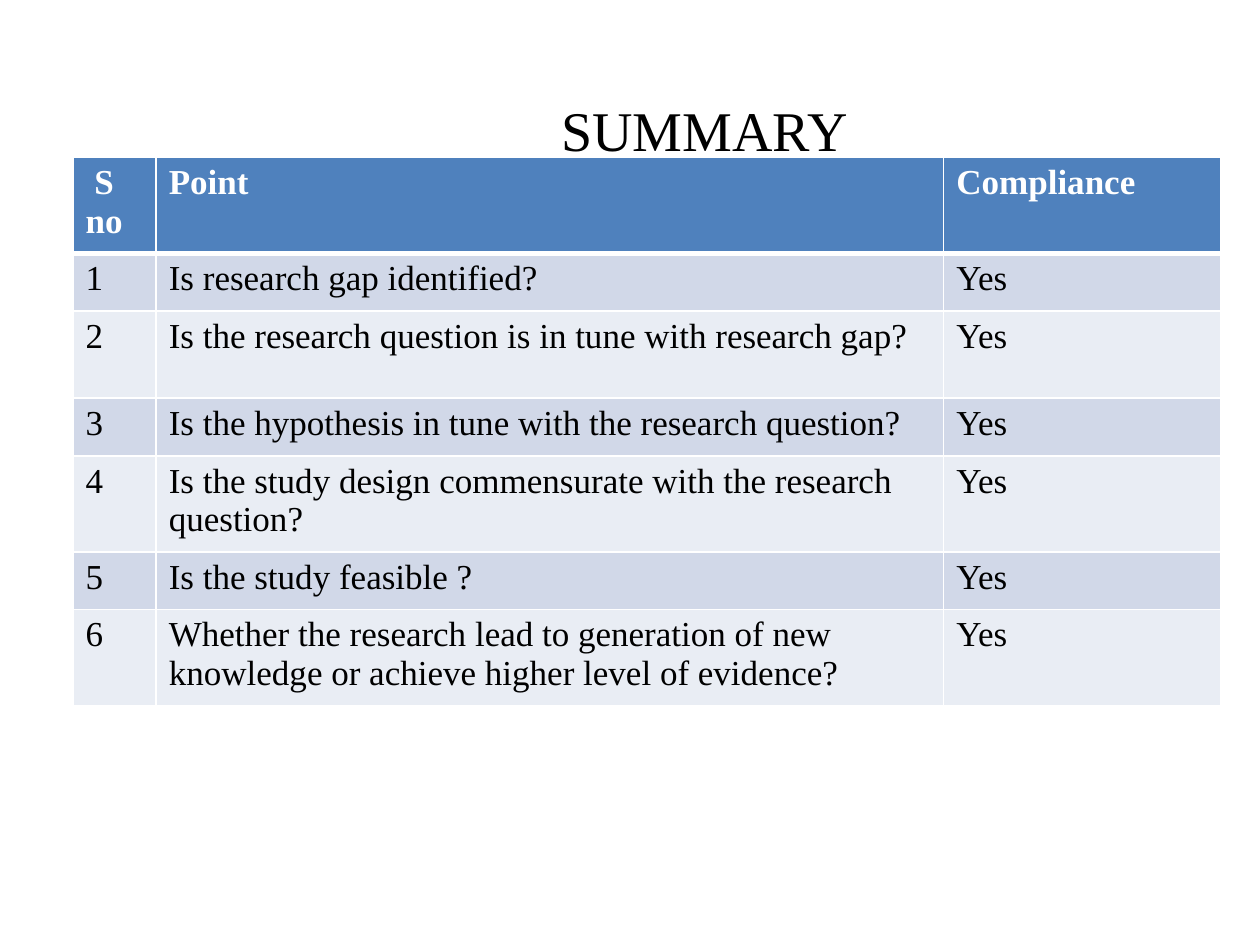
"""Build a summary slide with a compliance table."""
import dataclasses

import lxml.etree
import pptx
import pptx.dml.color
import pptx.enum.text
import pptx.oxml.ns
import pptx.util

Inches = pptx.util.Inches
Pt = pptx.util.Pt


@dataclasses.dataclass(frozen=True)
class Theme:
    font: str = "Times New Roman"
    head: str = "4F81BD"
    odd: str = "D1D8E8"
    even: str = "E9EDF4"
    white: str = "FFFFFF"
    black: str = "000000"
    title: int = 32
    body: int = 20


theme = Theme()


def write(frame, text, size=theme.body, color=theme.black, bold=False,
          align=pptx.enum.text.PP_ALIGN.LEFT, before=0, line=None):
    para = frame.paragraphs[0]
    para.alignment = align
    para.space_before = Pt(before)
    para.line_spacing = line
    run = para.add_run()
    run.text = text
    run.font.name = theme.font
    run.font.size = Pt(size)
    run.font.bold = bold
    run.font.color.rgb = pptx.dml.color.RGBColor.from_string(color)


def edge(cell, side, width):
    qn = pptx.oxml.ns.qn
    props = cell._tc.get_or_add_tcPr()
    line = lxml.etree.SubElement(props, qn(f"a:ln{side}"), w=str(Pt(width)))
    fill = lxml.etree.SubElement(line, qn("a:solidFill"))
    lxml.etree.SubElement(fill, qn("a:srgbClr"), val=theme.white)


deck = pptx.Presentation()
deck.slide_width = Inches(10)
deck.slide_height = Inches(7.5)
slide = deck.slides.add_slide(deck.slide_layouts[5])

title = slide.shapes.title
title.left, title.top = Inches(1.92), Inches(0.67)
title.width, title.height = Inches(4.97), Inches(0.64)
frame = title.text_frame
frame.word_wrap = True
frame.auto_size = pptx.enum.text.MSO_AUTO_SIZE.NONE
frame.vertical_anchor = pptx.enum.text.MSO_ANCHOR.BOTTOM
frame.margin_right = Inches(0.16)
frame.margin_bottom = Inches(0.02)
write(frame, "SUMMARY", size=theme.title, align=pptx.enum.text.PP_ALIGN.RIGHT)

points = [
    "Is research gap identified?",
    "Is the research question is in tune with research gap?",
    "Is the hypothesis in tune with the research question?",
    "Is the study design commensurate with the research question?",
    "Is the study feasible ?",
    "Whether the research lead to generation of new knowledge "
    "or achieve higher level of evidence?",
]
rows = [(" S no", "Point", "Compliance")]
rows += [(str(n), point, "Yes") for n, point in enumerate(points, 1)]
widths = [0.66, 6.25, 2.2]
heights = [0.76, 0.46, 0.69, 0.46, 0.76, 0.46, 0.76]

table = slide.shapes.add_table(
    len(rows), len(widths), Inches(0.58), Inches(1.25),
    Inches(sum(widths)), Inches(sum(heights))).table
for col, width in zip(table.columns, widths):
    col.width = Inches(width)
for row, height in zip(table.rows, heights):
    row.height = Inches(height)

for r, row in enumerate(rows):
    head = r == 0
    shade = theme.head if head else theme.odd if r % 2 else theme.even
    for c, text in enumerate(row):
        cell = table.cell(r, c)
        edge(cell, "L", 1)
        edge(cell, "R", 1)
        edge(cell, "T", 3 if r == 1 else 1)
        edge(cell, "B", 3 if head else 1)
        cell.fill.solid()
        cell.fill.fore_color.rgb = pptx.dml.color.RGBColor.from_string(shade)
        write(cell.text_frame, text, bold=head, before=4, line=Pt(22),
              color=theme.white if head else theme.black)

deck.save("out.pptx")
